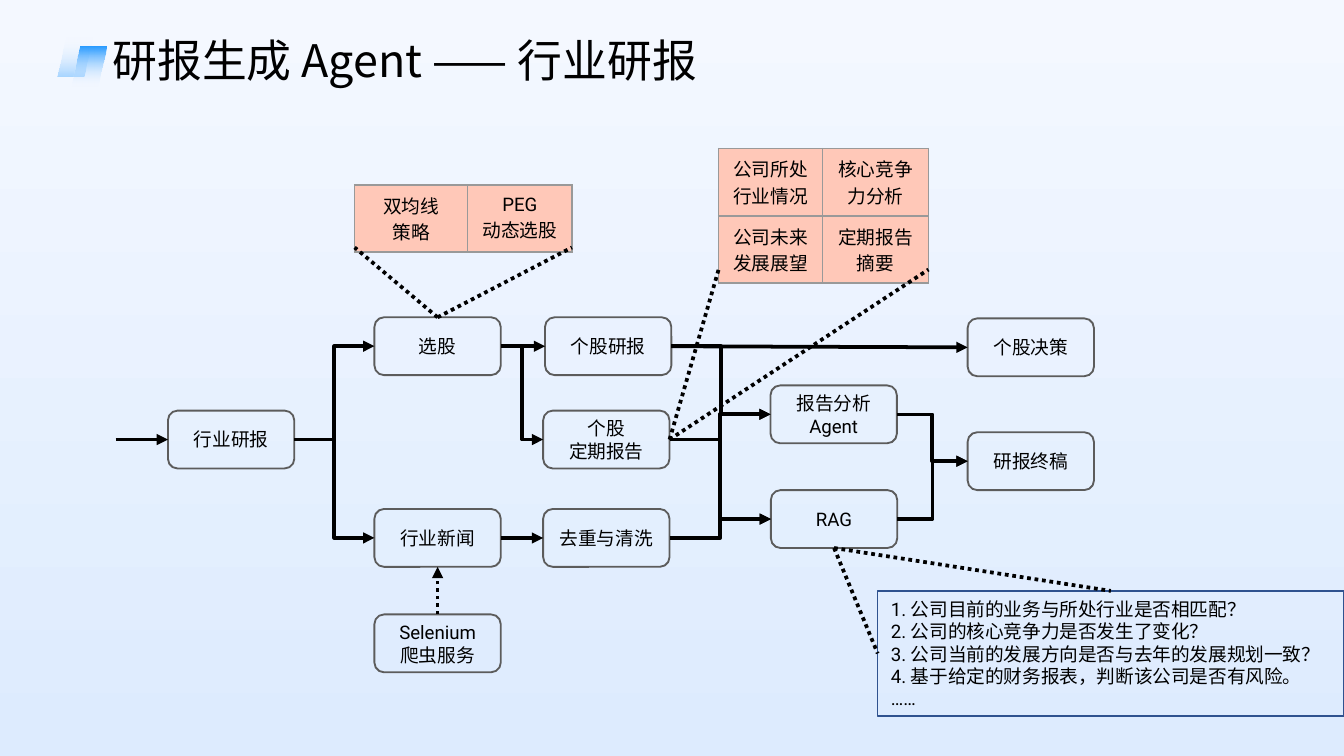
import lxml.etree
import pptx
import pptx.dml.color
import pptx.enum.dml
import pptx.enum.shapes
import pptx.enum.text
import pptx.oxml.ns
import pptx.util

Pt = pptx.util.Pt
qn = pptx.oxml.ns.qn
Shape = pptx.enum.shapes.MSO_SHAPE
Connector = pptx.enum.shapes.MSO_CONNECTOR
Anchor = pptx.enum.text.MSO_ANCHOR
Align = pptx.enum.text.PP_ALIGN
TOP, LEFT, BOTTOM, RIGHT = range(4)  # connection sites of a box


def rgb(value):
    return pptx.dml.color.RGBColor.from_string(value)


def add_xml(parent, tag, **attributes):
    return lxml.etree.SubElement(parent, qn(tag), **attributes)


class Diagram:
    latin, chinese = "Roboto", "Noto Sans CJK SC"
    ink, outline, grid, accent = "000000", "5C5C5C", "999999", "FFC8B8"
    pale, sky, blue = "F4F8FF", "DDEBFE", "2599FF"
    size = 10
    node_width, node_height = 67.7, 31

    def __init__(self, page):
        self.page = page
        self.gradient(page.background.fill, self.pale, self.sky)

    def gradient(self, fill, top, bottom):
        fill.gradient()
        fill.gradient_angle = 270
        for stop, position, colour in zip(fill.gradient_stops, (0, 1), (top, bottom)):
            stop.position = position
            stop.color.rgb = rgb(colour)

    def add_lines(self, frame, lines, align, latin=latin, east_asian=latin, size=size):
        frame.word_wrap = True
        for index, line in enumerate(lines):
            para = frame.add_paragraph() if index else frame.paragraphs[0]
            para.alignment = align
            span = para.add_run()
            span.text = line
            span.font.size = Pt(size)
            span.font.name = latin
            span.font.color.rgb = rgb(self.ink)
            add_xml(span.font._element, "a:ea", typeface=east_asian)

    def title(self, text, left, top, width, height):
        box = self.page.shapes.title
        box.left, box.top, box.width, box.height = map(Pt, (left, top, width, height))
        frame = box.text_frame
        frame.auto_size = pptx.enum.text.MSO_AUTO_SIZE.NONE
        frame.vertical_anchor = Anchor.MIDDLE
        frame.margin_left = frame.margin_right = Pt(2.7)
        frame.margin_top = frame.margin_bottom = Pt(1.4)
        self.add_lines(frame, [text], Align.LEFT, self.chinese, self.chinese, 24)
        frame.paragraphs[0].line_spacing = 0.9

    def ornament(self, left, top, opacity, rotation=0):
        """Add a slanted mark fading from clear to blue; opacity is in percent."""
        mark = self.page.shapes.add_shape(
            Shape.PARALLELOGRAM, Pt(left), Pt(top), Pt(18.7), Pt(20.9))
        mark.shadow.inherit = False
        mark.rotation = rotation
        mark.line.fill.background()
        self.gradient(mark.fill, self.pale, self.blue)
        colours = mark._element.spPr.iter(qn("a:srgbClr"))
        for colour, percent in zip(colours, (0, opacity)):
            add_xml(colour, "a:alpha", val=str(percent * 1000))

    def box(self, kind, left, top, width, height, lines, align, anchor, line, weight):
        box = self.page.shapes.add_shape(kind, Pt(left), Pt(top), Pt(width), Pt(height))
        box.shadow.inherit = False
        box.fill.background()
        box.line.color.rgb = rgb(line)
        box.line.width = Pt(weight)
        box.text_frame.vertical_anchor = anchor
        self.add_lines(box.text_frame, lines, align)
        return box

    def node(self, left, top, *lines):
        return self.box(Shape.ROUNDED_RECTANGLE, left, top, self.node_width,
                        self.node_height, lines, Align.CENTER, Anchor.MIDDLE,
                        self.outline, 1)

    def question_box(self, left, top, width, height, lines):
        return self.box(Shape.RECTANGLE, left, top, width, height, lines,
                        Align.LEFT, Anchor.TOP, "2F528F", 0.75)

    def table(self, left, top, widths, row_height, rows):
        frame = self.page.shapes.add_table(
            len(rows), len(widths), Pt(left), Pt(top),
            Pt(sum(widths)), Pt(row_height * len(rows)))
        table = frame.table
        table.first_row = table.horz_banding = False
        for column, width in zip(table.columns, widths):
            column.width = Pt(width)
        for r, row in enumerate(rows):
            for c, lines in enumerate(row):
                cell = table.cell(r, c)
                cell.vertical_anchor = Anchor.MIDDLE
                cell.fill.solid()
                cell.fill.fore_color.rgb = rgb(self.accent)
                self.add_lines(cell.text_frame, lines, Align.CENTER,
                               east_asian=self.chinese)
                self.cell_borders(cell)

    def cell_borders(self, cell):
        properties = cell._tc.get_or_add_tcPr()
        for index, side in enumerate(("a:lnL", "a:lnR", "a:lnT", "a:lnB")):
            border = add_xml(properties, side, w=str(Pt(1)))
            add_xml(add_xml(border, "a:solidFill"), "a:srgbClr", val=self.grid)
            properties.insert(index, border)

    def link(self, start, end, kind=Connector.STRAIGHT, arrow=True, dotted=False):
        """Join two ends, each a (box, site) pair or an (x, y) point."""
        def is_site(spot):
            return not isinstance(spot[0], (int, float))

        def locate(spot):
            if not is_site(spot):
                return Pt(spot[0]), Pt(spot[1])
            box, site = spot
            across = {LEFT: 0, RIGHT: box.width}.get(site, box.width // 2)
            down = {TOP: 0, BOTTOM: box.height}.get(site, box.height // 2)
            return box.left + across, box.top + down

        line = self.page.shapes.add_connector(kind, *locate(start), *locate(end))
        if is_site(start):
            line.begin_connect(*start)
        if is_site(end):
            line.end_connect(*end)
        line.line.color.rgb = rgb(self.ink)
        line.line.width = Pt(2)
        if dotted:
            line.line.dash_style = pptx.enum.dml.MSO_LINE.ROUND_DOT
        if arrow:
            add_xml(line._element.spPr.get_or_add_ln(), "a:tailEnd", type="triangle")
        add_xml(line._element.spPr, "a:effectLst")

    def flow(self, source, target, kind=Connector.STRAIGHT):
        self.link((source, RIGHT), (target, LEFT), kind)

    def callout(self, start, *points):
        for point in points:
            self.link(start, point, arrow=False, dotted=True)


def main():
    deck = pptx.Presentation()
    deck.slide_width, deck.slide_height = Pt(720), Pt(405)
    diagram = Diagram(deck.slides.add_slide(deck.slide_layouts[5]))

    diagram.ornament(31, 20.2, 38)
    diagram.ornament(38.2, 25.2, 100, rotation=180)
    diagram.title("研报生成 Agent —— 行业研报", 57.6, 16.6, 581.8, 33.8)

    industry = diagram.node(90, 220, "行业研报")
    picking = diagram.node(200.6, 170, "选股")
    news = diagram.node(200.6, 272.7, "行业新闻")
    crawler = diagram.node(200.6, 329.2, "Selenium", "爬虫服务")
    stock = diagram.node(292, 170, "个股研报")
    periodic = diagram.node(291, 220, "个股", "定期报告")
    cleaning = diagram.node(291, 272.7, "去重与清洗")
    analysis = diagram.node(412.8, 206.5, "报告分析 Agent")
    rag = diagram.node(413, 262.6, "RAG")
    final = diagram.node(518.4, 231.6, "研报终稿")
    decision = diagram.node(518.4, 170.6, "个股决策")

    diagram.link((61.9, 235.5), (industry, LEFT))
    for source, target in ((picking, stock), (news, cleaning), (stock, decision)):
        diagram.flow(source, target)
    for source, target in (
        (industry, picking), (industry, news), (picking, periodic),
        (stock, analysis), (periodic, analysis), (periodic, rag),
        (cleaning, rag), (analysis, final), (rag, final),
    ):
        diagram.flow(source, target, Connector.ELBOW)
    diagram.link((crawler, TOP), (news, BOTTOM), dotted=True)

    diagram.table(190, 99, (60.4, 56.2), 34, [
        [("双均线", "策略"), ("PEG", "动态选股")],
    ])
    diagram.callout((picking, TOP), (190, 132.6), (306.4, 132.6))

    diagram.table(385, 79.6, (55.6, 56.8), 34, [
        [("公司所处行业情况",), ("核心竞争力分析",)],
        [("公司未来发展展望",), ("定期报告摘要",)],
    ])
    diagram.callout((periodic, RIGHT), (385, 144.4), (497.4, 144.4))

    questions = diagram.question_box(470.2, 316.6, 249.8, 67, [
        "1. 公司目前的业务与所处行业是否相匹配？",
        "2. 公司的核心竞争力是否发生了变化？",
        "3. 公司当前的发展方向是否与去年的发展规划一致？",
        "4. 基于给定的财务报表，判断该公司是否有风险。",
        "……",
    ])
    diagram.callout((rag, BOTTOM), (questions, LEFT), (questions, TOP))

    deck.save("out.pptx")


if __name__ == "__main__":
    main()
